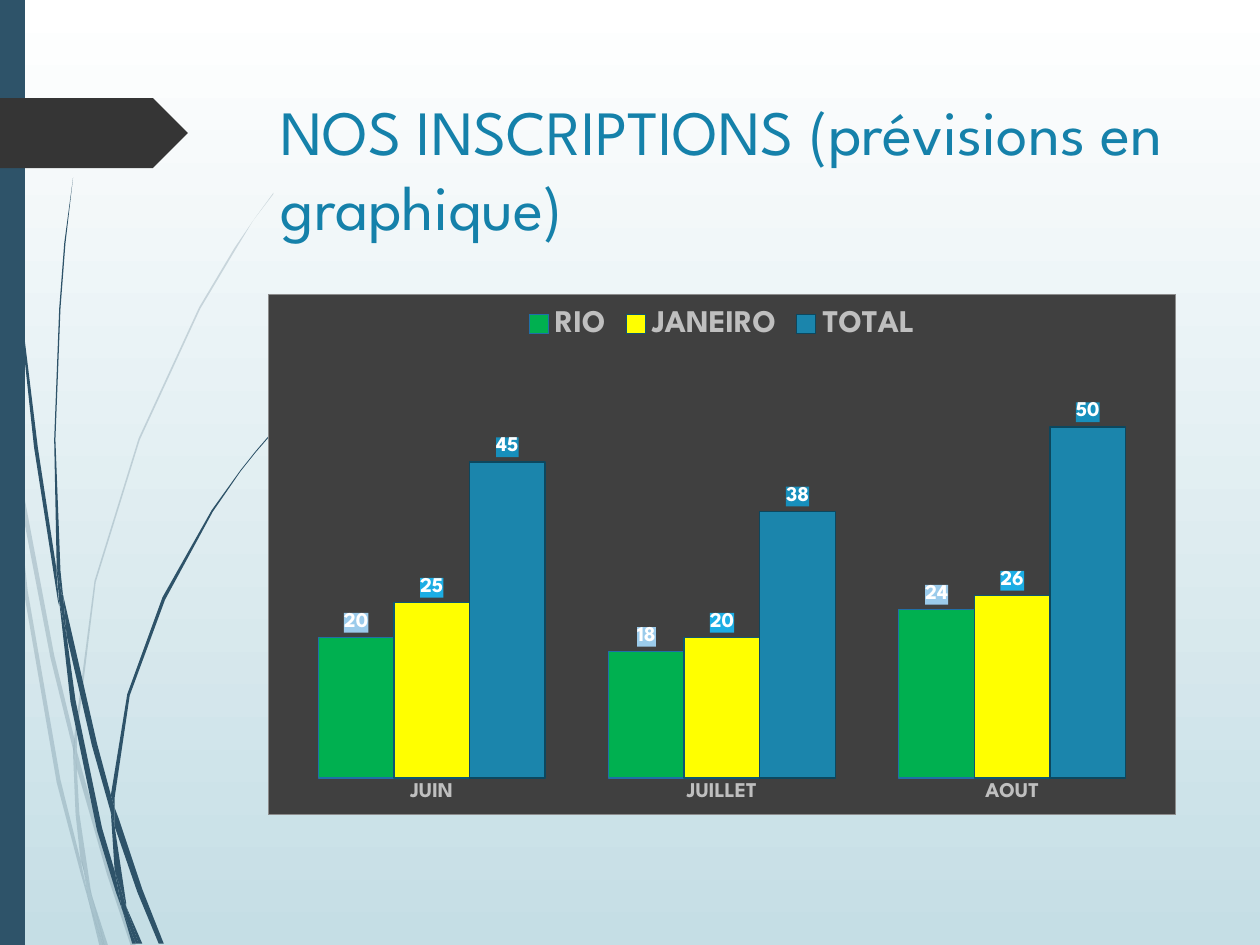
from pptx import Presentation
from pptx import util as u
from pptx.chart.data import CategoryChartData
from pptx.dml.color import RGBColor
from pptx.enum import chart as charts, shapes, text
from pptx.oxml import parse_xml
from pptx.oxml.ns import nsdecls, qn

PX = 914400 / 126
HUNDREDTH_INCH = 9144.0
FONT = "League Spartan"
WHITE = RGBColor(0xFF, 0xFF, 0xFF)
PALE_BLUE = RGBColor(0xC5, 0xDE, 0xE5)
NAVY = RGBColor(0x2E, 0x53, 0x69)
CHARCOAL = RGBColor(0x35, 0x35, 0x35)
TITLE_BLUE = RGBColor(0x15, 0x81, 0xAA)
LIGHT_GRAY = RGBColor(0xBF, 0xBF, 0xBF)
PANEL_GRAY = RGBColor(0x40, 0x40, 0x40)
BORDER_GRAY = RGBColor(0x8C, 0x8C, 0x8C)
GREEN = RGBColor(0x00, 0xB0, 0x50)
YELLOW = RGBColor(0xFF, 0xFF, 0x00)
BLUE = RGBColor(0x17, 0x8F, 0xBC)
GREEN_EDGE = RGBColor(0x20, 0x6F, 0xA8)
YELLOW_EDGE = RGBColor(0x0E, 0x56, 0x72)
BLUE_EDGE = RGBColor(0x0C, 0x47, 0x5E)
LABEL_PALE = RGBColor(0x9B, 0xCB, 0xEB)
LABEL_BRIGHT = RGBColor(0x1C, 0xAD, 0xE4)


def paint(format_owner, color, opacity=100):
    """Fill a shape or chart element with a colour, opacity in percent."""
    format_owner.fill.solid()
    format_owner.fill.fore_color.rgb = color
    if opacity < 100:
        color_element = format_owner.fill._xPr.find(".//" + qn("a:srgbClr"))
        color_element.append(parse_xml(
            f'<a:alpha {nsdecls("a")} val="{opacity * 1000}"/>'))


presentation = Presentation()
presentation.slide_width = u.Inches(10)
presentation.slide_height = u.Inches(7.5)
slide = presentation.slides.add_slide(presentation.slide_layouts[5])

background = slide.background.fill
background.gradient()
background.gradient_angle = 270
for stop, color in zip(background.gradient_stops, (WHITE, PALE_BLUE)):
    stop.color.rgb = color

# Grass blades, outlined in hundredths of an inch
faint_blades = [
    [(8, 350), (6, 322), (0, 282), (0, 299), (7, 344)],
    [(40, 522), (59, 599), (59, 586), (43, 520), (10, 345), (12, 376)],
    [(64, 607), (61, 596), (61, 610), (85, 694), (104, 751), (108, 751), (88, 692)],
    [(83, 751), (86, 751), (73, 711)],
    [(64, 683), (48, 619), (22, 469), (12, 376), (8, 350), (19, 470), (45, 621),
     (64, 693), (70, 714), (69, 707)],
    [(58, 599), (60, 646), (64, 683), (67, 692), (73, 711), (72, 706), (63, 646),
     (61, 610), (61, 608)],
    [(61, 584), (76, 462), (111, 349), (159, 245), (187, 198), (201, 175), (217, 154),
     (217, 153), (201, 175), (186, 197), (158, 244), (110, 348), (75, 461), (59, 584),
     (59, 586), (61, 596)],
    [(70, 714), (79, 751), (82, 751)],
    [(61, 608), (61, 610), (61, 596), (59, 586), (58, 599)],
    [(67, 692), (65, 683), (69, 707), (70, 714), (82, 751), (83, 751), (73, 711)],
]
dark_blades = [
    [(5, 110), (14, 233), (27, 355), (46, 477), (47, 481), (45, 457), (45, 453),
     (30, 355), (15, 232), (6, 109), (4, 48), (3, 0), (2, 0), (3, 48)],
    [(73, 592), (88, 645), (88, 633), (88, 631), (77, 590), (50, 472), (53, 505)],
    [(94, 649), (91, 641), (91, 656), (109, 708), (126, 749), (130, 749), (113, 706)],
    [(91, 691), (81, 657), (60, 556), (53, 505), (47, 477), (56, 557), (77, 659),
     (92, 708), (97, 722), (96, 717)],
    [(50, 472), (48, 453), (44, 349), (48, 245), (52, 193), (58, 141), (51, 193),
     (47, 245), (43, 349), (45, 449), (49, 472)],
    [(110, 749), (113, 749), (100, 719)],
    [(47, 477), (53, 505), (50, 472), (49, 472), (45, 449), (45, 453)],
    [(91, 633), (103, 552), (131, 476), (169, 406), (191, 374), (203, 359), (216, 344),
     (215, 344), (203, 358), (191, 373), (168, 405), (129, 474), (101, 551), (88, 631),
     (91, 641)],
    [(97, 722), (105, 749), (108, 749)],
    [(88, 645), (91, 691), (96, 706), (100, 719), (100, 716), (91, 656), (90, 651)],
    [(88, 645), (90, 651), (91, 656), (91, 641), (88, 631), (88, 633)],
    [(96, 706), (91, 691), (96, 717), (97, 722), (108, 749), (110, 749), (100, 719)],
]
for blades, opacity in ((faint_blades, 20), (dark_blades, 100)):
    for start, *others in blades:
        builder = slide.shapes.build_freeform(*start, scale=HUNDREDTH_INCH)
        builder.add_line_segments(others, close=True)
        blade = builder.convert_to_shape()
        blade.shadow.inherit = False
        blade.line.fill.background()
        paint(blade, NAVY, opacity)

side_blocks = [
    (shapes.MSO_SHAPE.RECTANGLE, (0, 0, 25, 945), NAVY),
    (shapes.MSO_SHAPE.PENTAGON, (0, 98, 188, 70), CHARCOAL),
]
for preset, box, color in side_blocks:
    block = slide.shapes.add_shape(preset, *(u.Emu(int(v * PX)) for v in box))
    block.shadow.inherit = False
    block.line.fill.background()
    paint(block, color)

title = slide.shapes.title
title.left, title.top, title.width, title.height = (
    u.Emu(int(v * PX)) for v in (268, 86, 908, 176))
frame = title.text_frame
frame.word_wrap = True
frame.auto_size = text.MSO_AUTO_SIZE.NONE
frame.vertical_anchor = text.MSO_ANCHOR.TOP
paragraph = frame.paragraphs[0]
paragraph.alignment = text.PP_ALIGN.LEFT
run = paragraph.add_run()
run.text = "NOS INSCRIPTIONS (prévisions en graphique)"
run.font.name = FONT
run.font.size = u.Pt(36)
run.font.color.rgb = TITLE_BLUE

# Series: name, values, fill, opacity, outline, label background
series_rows = [
    ("RIO", (20, 18, 24), GREEN, 100, GREEN_EDGE, LABEL_PALE),
    ("JANEIRO", (25, 20, 26), YELLOW, 100, YELLOW_EDGE, LABEL_BRIGHT),
    ("TOTAL", (45, 38, 50), BLUE, 88, BLUE_EDGE, BLUE),
]
data = CategoryChartData()
data.categories = ["JUIN", "JUILLET", "AOUT"]
for name, values, *_ in series_rows:
    data.add_series(name, values)
chart = slide.shapes.add_chart(
    charts.XL_CHART_TYPE.COLUMN_CLUSTERED,
    *(u.Emu(int(v * PX)) for v in (268, 294, 908, 521)), data).chart
chart.has_title = False
chart.font.name = FONT
chart.font.size = u.Pt(10)
chart._chartSpace.find(qn("c:chart")).addnext(parse_xml(
    f'<c:spPr {nsdecls("c", "a")}>'
    f'<a:solidFill><a:srgbClr val="{PANEL_GRAY}"/></a:solidFill>'
    f'<a:ln w="6350"><a:solidFill><a:srgbClr val="{BORDER_GRAY}"/></a:solidFill></a:ln>'
    '</c:spPr>'))

chart.has_legend = True
chart.legend.position = charts.XL_LEGEND_POSITION.TOP
chart.legend.include_in_layout = False
category_axis, value_axis = chart.category_axis, chart.value_axis
category_axis.major_tick_mark = charts.XL_TICK_MARK.NONE
category_axis.format.line.fill.background()
value_axis.minimum_scale = 0
value_axis.maximum_scale = 60
value_axis.has_major_gridlines = False
value_axis.visible = False

plot = chart.plots[0]
plot.gap_width = 84
plot.overlap = 0
plot.vary_by_categories = False
fonts = [(chart.legend.font, 18, LIGHT_GRAY),
         (category_axis.tick_labels.font, 12, LIGHT_GRAY)]
for series, (_, _, color, opacity, edge, label_color) in zip(plot.series, series_rows):
    paint(series.format, color, opacity)
    series.format.line.color.rgb = edge
    series.format.line.width = u.Pt(0.75)
    labels = series.data_labels
    labels.show_value = True
    labels.position = charts.XL_LABEL_POSITION.OUTSIDE_END
    fonts.append((labels.font, 12, WHITE))
    labels._element.find(qn("c:txPr")).addprevious(parse_xml(
        f'<c:spPr {nsdecls("c", "a")}><a:solidFill>'
        f'<a:srgbClr val="{label_color}"/></a:solidFill></c:spPr>'))
for font, size, color in fonts:
    font.name = FONT
    font.size = u.Pt(size)
    font.bold = True
    font.color.rgb = color

plot_area = chart._chartSpace.find(".//" + qn("c:plotArea"))
for old_layout in plot_area.findall(qn("c:layout")):
    plot_area.remove(old_layout)
plot_area.insert(0, parse_xml(
    f'<c:layout {nsdecls("c")}><c:manualLayout><c:layoutTarget val="inner"/>'
    '<c:xMode val="edge"/><c:yMode val="edge"/><c:x val="0.02"/><c:y val="0.12"/>'
    '<c:w val="0.96"/><c:h val="0.81"/></c:manualLayout></c:layout>'))

presentation.save("out.pptx")
